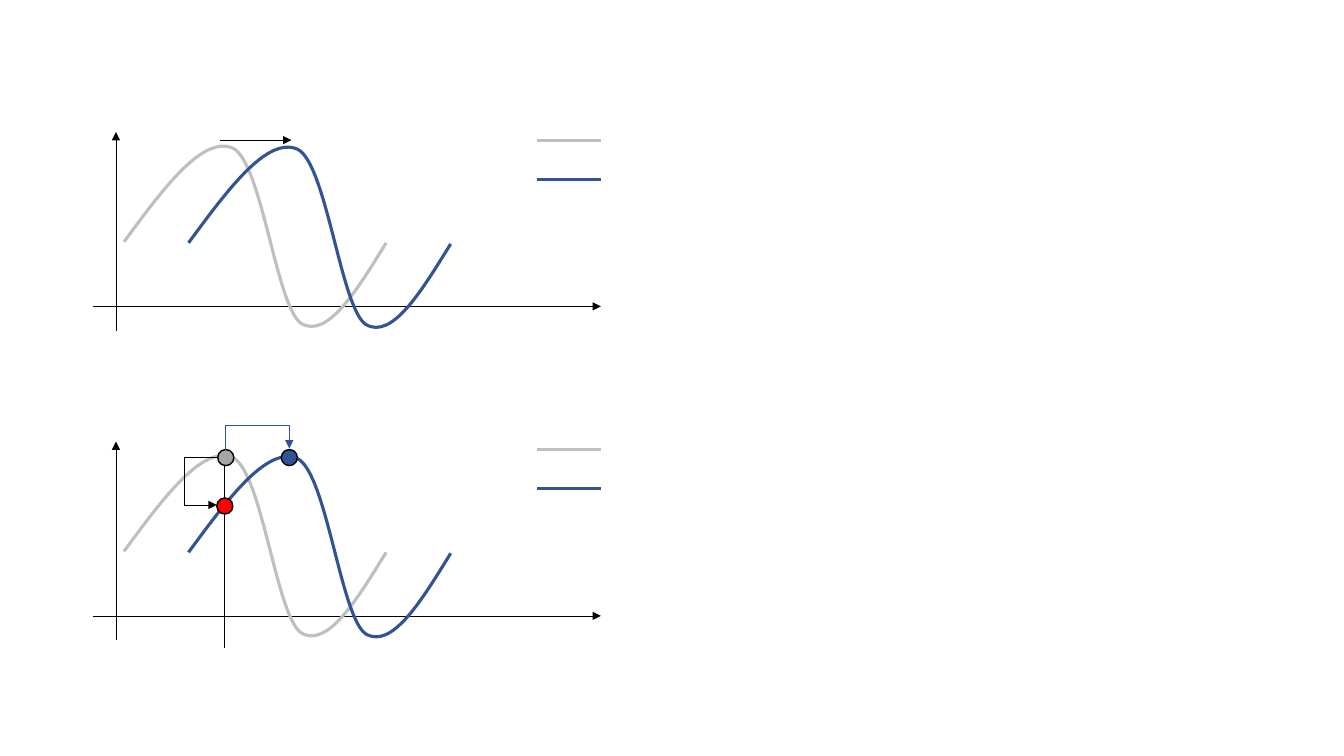
from dataclasses import dataclass
from typing import Optional

from lxml import etree
from pptx import Presentation
from pptx import util as u
from pptx.dml.color import RGBColor
from pptx.enum import shapes
from pptx.oxml.ns import qn

Point = tuple[float, float]


@dataclass(frozen=True)
class Theme:
    black: str = "000000"
    light_grey: str = "BFBFBF"
    mid_grey: str = "A6A6A6"
    blue: str = "2F5597"
    curve_blue: str = "325491"
    red: str = "FF0000"
    thin: float = 0.5
    outline: float = 1
    thick: float = 2.25


@dataclass(frozen=True)
class Line:
    start: Point
    end: Point
    color: str
    width: float
    arrow: bool = False


@dataclass(frozen=True)
class Elbow:
    line: Line
    bend: int
    quarter_turn: bool = False


@dataclass(frozen=True)
class Dot:
    left: float
    top: float
    color: str


THEME = Theme()
DOT_SIZE = 0.16
PANEL_PITCH = 3.07
CURVE_SHIFT = (0.64, 0.01)
WAVE: list[Point] = [
    (1.23, 2.4), (1.62, 1.87), (2.01, 1.34), (2.31, 1.47), (2.6, 1.61),
    (2.74, 3.05), (2.99, 3.21), (3.25, 3.36), (3.54, 2.88), (3.83, 2.41),
]
CREST: Point = (2.21, 1.45)
TROUGH: Point = (3.1, 3.23)
PANEL_LINES = [
    Line((0.92, 3.04), (5.96, 3.04), THEME.black, THEME.thin, True),
    Line((1.15, 3.28), (1.15, 1.31), THEME.black, THEME.thin, True),
    Line((5.33, 1.78), (5.96, 1.78), THEME.blue, THEME.thick),
    Line((5.33, 1.39), (5.96, 1.39), THEME.light_grey, THEME.thick),
]
MARKER = Line((2.23, 6.43), (2.23, 4.48), THEME.black, THEME.thin)
SHIFT_ARROW = Line((2.18, 1.39), (2.89, 1.39), THEME.black, THEME.thin, True)
DOTS = [
    Dot(2.16, 4.46, THEME.mid_grey),
    Dot(2.79, 4.46, THEME.blue),
    Dot(2.15, 4.94, THEME.red),
]
ELBOWS = [
    Elbow(Line((2.56, 4.77), (2.55, 4.14), THEME.blue, THEME.thin, True), 24, True),
    Elbow(Line((2.16, 4.54), (2.15, 5.01), THEME.black, THEME.thin, True), 34),
]


def style_line(shape, color: str, width: float) -> None:
    shape.line.color.rgb = RGBColor.from_string(color)
    shape.line.width = u.Pt(width)


def draw_line(page, line: Line, kind=shapes.MSO_CONNECTOR.STRAIGHT):
    ends = [u.Inches(value) for value in (*line.start, *line.end)]
    connector = page.shapes.add_connector(kind, *ends)
    style_line(connector, line.color, line.width)
    if line.arrow:
        outline = connector._element.spPr.find(qn("a:ln"))
        etree.SubElement(outline, qn("a:tailEnd"), type="triangle")
    etree.SubElement(connector._element.spPr, qn("a:effectLst"))
    return connector


def draw_elbow(page, elbow: Elbow) -> None:
    connector = draw_line(page, elbow.line, shapes.MSO_CONNECTOR.ELBOW)
    properties = connector._element.spPr
    if elbow.quarter_turn:
        properties.find(qn("a:xfrm")).set("rot", "5400000")
    geometry = properties.find(qn("a:prstGeom"))
    guides = geometry.find(qn("a:avLst"))
    if guides is None:
        guides = etree.SubElement(geometry, qn("a:avLst"))
    bend = f"val {elbow.bend * 100000}"
    etree.SubElement(guides, qn("a:gd"), name="adj1", fmla=bend)


def add_path_step(outline, tag: str, points: list[Point]) -> None:
    step = etree.SubElement(outline, qn(tag))
    for x, y in points:
        left, top = u.Inches(x - WAVE[0][0]), u.Inches(y - CREST[1])
        etree.SubElement(step, qn("a:pt"), x=str(int(left)), y=str(int(top)))


def draw_curve(page, dx: float, dy: float, color: str) -> None:
    extent = [
        (u.Inches(x + dx), u.Inches(y + dy))
        for x, y in (WAVE[0], CREST, TROUGH, WAVE[-1])
    ]
    builder = page.shapes.build_freeform(*extent[0])
    builder.add_line_segments(extent[1:], close=False)
    curve = builder.convert_to_shape()
    outline = next(curve._element.iter(qn("a:path")))
    for step in list(outline):
        outline.remove(step)
    add_path_step(outline, "a:moveTo", WAVE[:1])
    for first in range(1, len(WAVE), 3):
        add_path_step(outline, "a:cubicBezTo", WAVE[first:first + 3])
    curve.shadow.inherit = False
    curve.fill.background()
    style_line(curve, color, THEME.thick)


def draw_panel(page, dy: float, shift_arrow: Optional[Line] = None) -> None:
    for line in PANEL_LINES:
        (x1, y1), (x2, y2) = line.start, line.end
        moved = Line((x1, y1 + dy), (x2, y2 + dy), line.color, line.width, line.arrow)
        draw_line(page, moved)
    if shift_arrow:
        draw_line(page, shift_arrow)
    draw_curve(page, 0, dy, THEME.light_grey)
    draw_curve(page, CURVE_SHIFT[0], dy + CURVE_SHIFT[1], THEME.curve_blue)


def draw_dot(page, dot: Dot) -> None:
    size = u.Inches(DOT_SIZE)
    circle = page.shapes.add_shape(
        shapes.MSO_SHAPE.OVAL, u.Inches(dot.left), u.Inches(dot.top), size, size
    )
    circle.shadow.inherit = False
    circle.fill.solid()
    circle.fill.fore_color.rgb = RGBColor.from_string(dot.color)
    style_line(circle, THEME.black, THEME.outline)


def main() -> None:
    deck = Presentation()
    deck.slide_width = u.Inches(13.33)
    deck.slide_height = u.Inches(7.5)
    page = deck.slides.add_slide(deck.slide_layouts[6])
    draw_line(page, MARKER)
    draw_panel(page, 0, SHIFT_ARROW)
    draw_panel(page, PANEL_PITCH)
    for dot in DOTS:
        draw_dot(page, dot)
    for elbow in ELBOWS:
        draw_elbow(page, elbow)
    deck.save("out.pptx")


if __name__ == "__main__":
    main()
